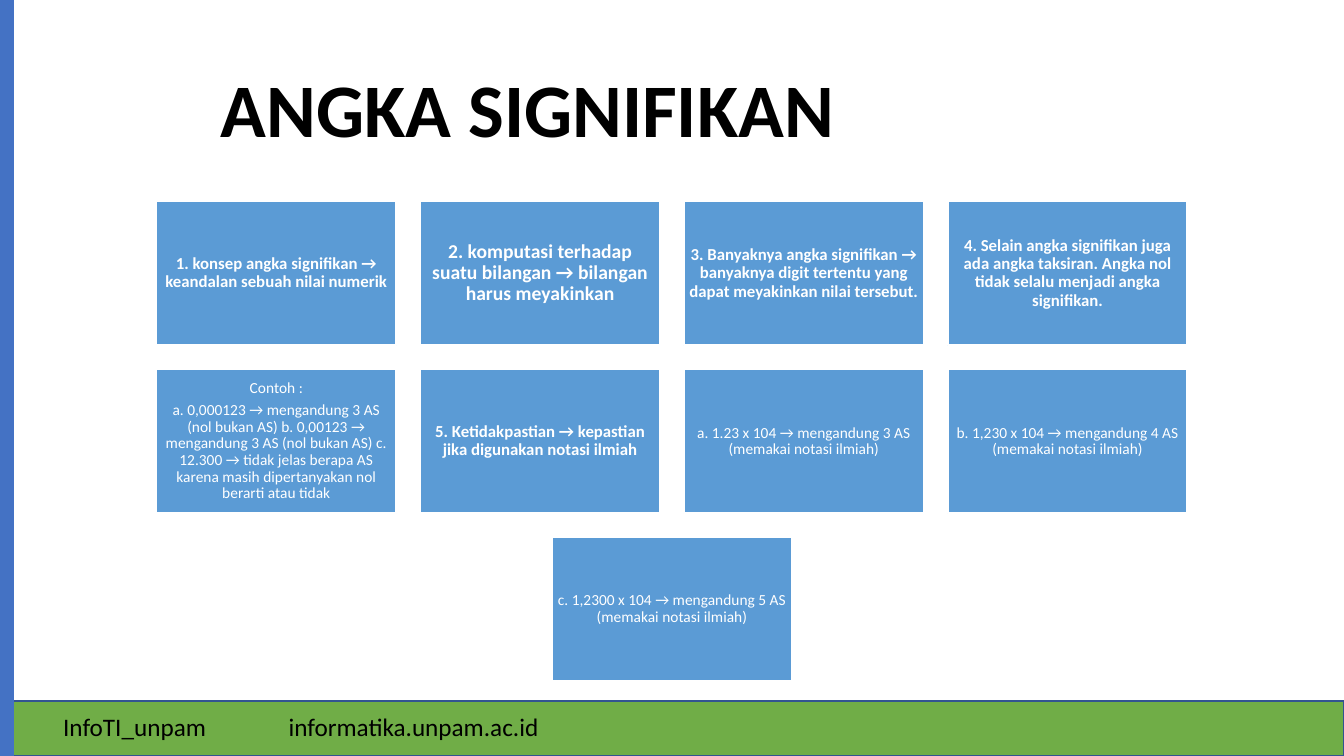
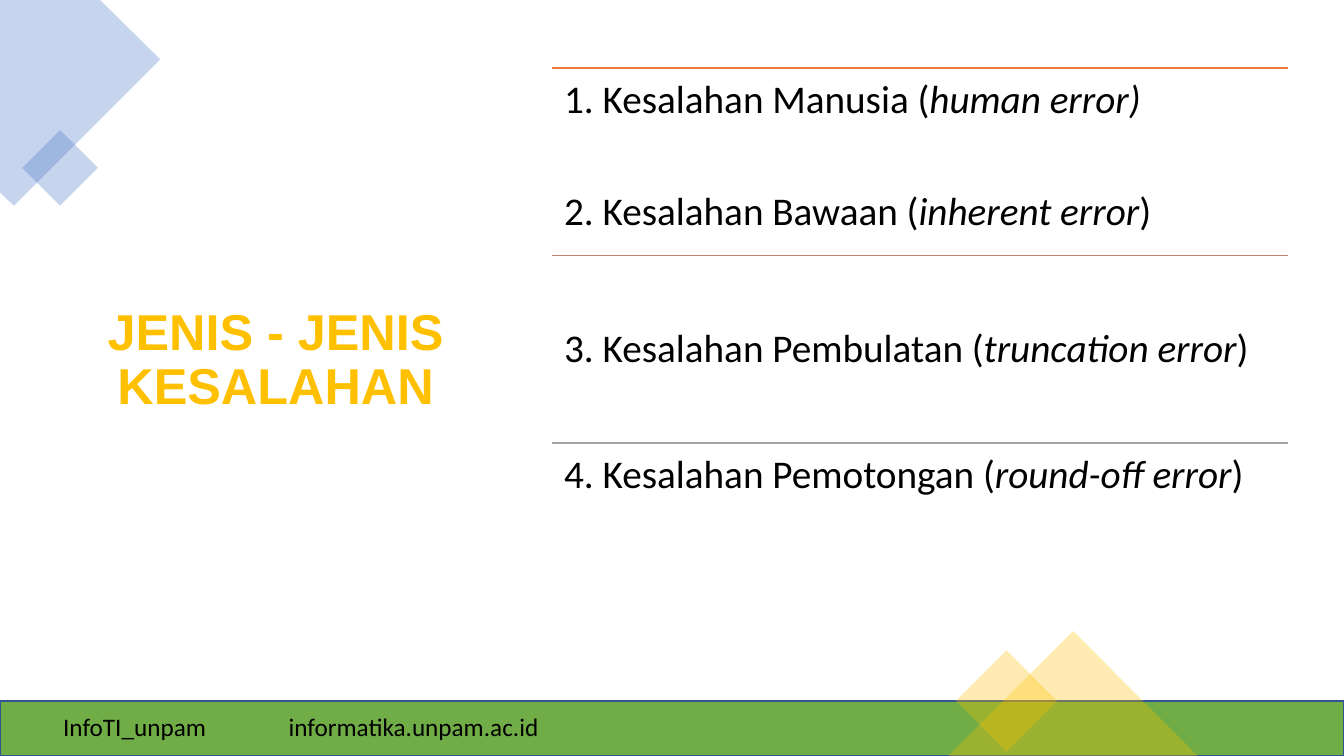
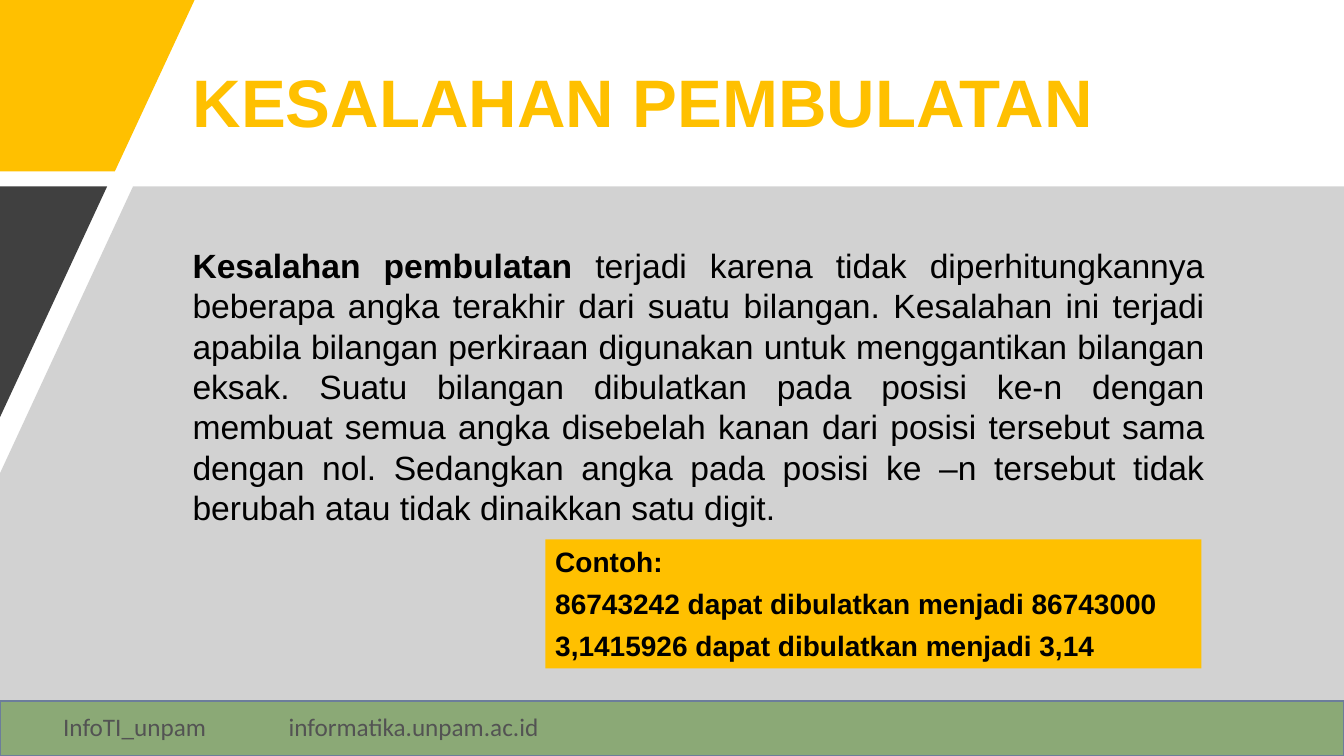
from dataclasses import dataclass
from typing import NamedTuple, Optional

from lxml.etree import SubElement
from pptx import Presentation
from pptx.dml.color import RGBColor
from pptx.enum.shapes import MSO_CONNECTOR, MSO_SHAPE
from pptx.enum.text import MSO_ANCHOR, MSO_AUTO_SIZE, PP_ALIGN
from pptx.oxml.ns import qn
from pptx.util import Pt

# Shared palette, fonts and page size
BLACK, WHITE = "000000", "FFFFFF"
BLUE, CARD_BLUE, GOLD, GREEN = "4472C4", "5B9BD5", "FFC000", "70AD47"
FOOTER_EDGE, CHARCOAL, GREY = "325491", "404040", "A6A6A6"
SANS, ARIAL = "Calibri", "Arial"
PAGE_W, PAGE_H = 960, 540
FOOTER_TOP = 500.7


class Box(NamedTuple):
    left: float
    top: float
    width: float
    height: float

    def lengths(self) -> list:
        return [Pt(value) for value in self]


class Span(NamedTuple):
    text: str
    bold: bool = False
    italic: bool = False


@dataclass(frozen=True)
class Para:
    spans: tuple[Span, ...]
    before: float = 0


@dataclass(frozen=True)
class TextStyle:
    size: float
    font: str = SANS
    color: str = BLACK
    align: PP_ALIGN = PP_ALIGN.LEFT
    anchor: MSO_ANCHOR = MSO_ANCHOR.TOP
    line_spacing: float = 1.0
    after: float = 0
    inset_x: float = 7.2
    inset_y: float = 3.6


@dataclass(frozen=True)
class Card:
    lines: tuple[str, ...]
    size: float = 12
    bold: bool = True


# Drawing helpers
def rgb(color: str) -> RGBColor:
    return RGBColor.from_string(color)


def paint(shape, fill: str, alpha: Optional[int] = None,
          edge: Optional[str] = None, edge_width: float = 1) -> None:
    shape.shadow.inherit = False
    shape.fill.solid()
    shape.fill.fore_color.rgb = rgb(fill)
    if alpha is not None:
        color = shape.element.spPr.find(".//" + qn("a:srgbClr"))
        SubElement(color, qn("a:alpha")).set("val", str(alpha * 1000))
    if edge:
        shape.line.color.rgb = rgb(edge)
        shape.line.width = Pt(edge_width)
    else:
        shape.line.fill.background()


def add_block(slide, kind: MSO_SHAPE, box: Box, fill: str, **look):
    shape = slide.shapes.add_shape(kind, *box.lengths())
    paint(shape, fill, **look)
    return shape


def add_outline(slide, corners: list[tuple[float, float]], fill: str,
                alpha: Optional[int] = None) -> None:
    points = [(Pt(x), Pt(y)) for x, y in corners]
    builder = slide.shapes.build_freeform(*points[0], scale=1.0)
    builder.add_line_segments(points[1:], close=True)
    paint(builder.convert_to_shape(), fill, alpha)


def add_rule(slide, left: float, top: float, width: float, color: str) -> None:
    rule = slide.shapes.add_connector(
        MSO_CONNECTOR.STRAIGHT, Pt(left), Pt(top), Pt(left + width), Pt(top))
    rule.line.color.rgb = rgb(color)
    rule.line.width = Pt(1)
    SubElement(rule.element.spPr, qn("a:effectLst"))


def write(shape, paras: list[Para], style: TextStyle) -> None:
    frame = shape.text_frame
    frame.word_wrap = True
    frame.auto_size = MSO_AUTO_SIZE.NONE
    frame.vertical_anchor = style.anchor
    frame.margin_left = frame.margin_right = Pt(style.inset_x)
    frame.margin_top = frame.margin_bottom = Pt(style.inset_y)
    for index, para in enumerate(paras):
        line = frame.add_paragraph() if index else frame.paragraphs[0]
        props = line._p.get_or_add_pPr()
        props.set("marL", "0")
        props.set("indent", "0")
        SubElement(props, qn("a:buNone"))
        line.alignment = style.align
        line.line_spacing = style.line_spacing
        line.space_before = Pt(para.before)
        line.space_after = Pt(style.after)
        for span in para.spans:
            run = line.add_run()
            run.text = span.text
            run.font.name = style.font
            run.font.size = Pt(style.size)
            run.font.color.rgb = rgb(style.color)
            run.font.bold = span.bold
            run.font.italic = span.italic


def fill_placeholder(slide, index: int, box: Box, paras: list[Para],
                     style: TextStyle) -> None:
    holder = slide.placeholders[index]
    holder.left, holder.top, holder.width, holder.height = box.lengths()
    slide.shapes.element.append(holder.element)  # bring to front
    write(holder, paras, style)


def set_title(slide, text: str, box: Box, size: float, font: str = ARIAL,
              color: str = GOLD, align: PP_ALIGN = PP_ALIGN.LEFT) -> None:
    style = TextStyle(size, font, color, align, MSO_ANCHOR.MIDDLE, 0.9, 6)
    fill_placeholder(slide, 0, box, [Para((Span(text, bold=True),))], style)


def new_slide(deck, layout: int):
    """Add a slide carrying the common footer band."""
    slide = deck.slides.add_slide(deck.slide_layouts[layout])
    add_block(slide, MSO_SHAPE.FLOWCHART_PROCESS,
              Box(0, FOOTER_TOP, PAGE_W, PAGE_H - FOOTER_TOP), GREEN, edge=FOOTER_EDGE)
    for text, left, width in (("InfoTI_unpam", 38, 141),
                              ("informatika.unpam.ac.id", 199, 212)):
        label = slide.shapes.add_textbox(*Box(left, 504.5, width, 29).lengths())
        write(label, [Para((Span(text),))], TextStyle(18))
    return slide


# Slide 1: significant figures as a centred grid of cards
CARD_ROWS = (
    (
        Card(("1. konsep angka signifikan → keandalan sebuah nilai numerik",)),
        Card(("2. komputasi terhadap suatu bilangan → bilangan harus meyakinkan",), 14),
        Card(("3. Banyaknya angka signifikan → banyaknya digit tertentu yang "
              "dapat meyakinkan nilai tersebut.",)),
        Card(("4. Selain angka signifikan juga ada angka taksiran. Angka nol "
              "tidak selalu menjadi angka signifikan.",)),
    ),
    (
        Card(("Contoh :",
              "a. 0,000123 → mengandung 3 AS (nol bukan AS) b. 0,00123 → "
              "mengandung 3 AS (nol bukan AS) c. 12.300 → tidak jelas berapa AS "
              "karena masih dipertanyakan nol berarti atau tidak"), 11, False),
        Card(("5. Ketidakpastian → kepastian jika digunakan notasi ilmiah",)),
        Card(("a. 1.23 x 104 → mengandung 3 AS (memakai notasi ilmiah)",), 11, False),
        Card(("b. 1,230 x 104 → mengandung 4 AS (memakai notasi ilmiah)",), 11, False),
    ),
    (
        Card(("c. 1,2300 x 104 → mengandung 5 AS (memakai notasi ilmiah)",), 11, False),
    ),
)


def build_significant_figures(deck) -> None:
    slide = new_slide(deck, 5)
    set_title(slide, "ANGKA SIGNIFIKAN", Box(150.5, 28.8, 743, 104.4), 54, SANS, BLACK)
    add_block(slide, MSO_SHAPE.RECTANGLE, Box(0, 0, 10, PAGE_H), BLUE)

    width, height, gap, grid_top = 171.3, 102.8, 17.1, 143.9
    for row, cards in enumerate(CARD_ROWS):
        row_width = len(cards) * (width + gap) - gap
        row_left = (PAGE_W - row_width) / 2
        for column, card in enumerate(cards):
            box = Box(row_left + column * (width + gap),
                      grid_top + row * (height + gap), width, height)
            shape = add_block(slide, MSO_SHAPE.RECTANGLE, box, CARD_BLUE,
                              edge=WHITE, edge_width=1.5)
            inset = card.size * 0.3
            write(shape, [Para((Span(line, card.bold),)) for line in card.lines],
                  TextStyle(card.size, SANS, WHITE, PP_ALIGN.CENTER, MSO_ANCHOR.MIDDLE,
                            0.9, card.size * 0.35, inset, inset))


# Slide 2: kinds of error
def build_error_kinds(deck) -> None:
    slide = new_slide(deck, 1)

    # Corner ornaments
    add_outline(slide, [(0, 0), (71.5, 0), (114.5, 42.5), (10, 147), (0, 137.5)], BLUE, 30)
    for box, color in ((Box(23.8, 100.8, 38.2, 38.2), BLUE),
                       (Box(693.4, 475.2, 51.1, 51.1), GOLD)):
        add_block(slide, MSO_SHAPE.RECTANGLE, box, color, alpha=30).rotation = 45
    add_block(slide, MSO_SHAPE.ISOSCELES_TRIANGLE, Box(677.5, 450.7, 178, 89.3),
              GOLD, alpha=30)

    set_title(slide, "JENIS - JENIS KESALAHAN", Box(18.7, 130.6, 356.4, 254.9), 36,
              align=PP_ALIGN.CENTER)

    # List between equally spaced rules
    left, top, width, step = 394.6, 48.7, 525.6, 133.8
    for index, color in enumerate(("ED7D31", "C48170", "A5A5A5")):
        add_rule(slide, left, top + index * step, width, color)
    errors = (
        ("1. Kesalahan Manusia (", "human error)", "", 0),
        ("2. Kesalahan Bawaan (", "inherent error", ")", 39.4),
        ("3. Kesalahan Pembulatan (", "truncation error", ")", 58),
        ("4. Kesalahan Pemotongan (", "round-off error", ")", 50),
    )
    paras = []
    for name, english, closing, before in errors:
        spans = (Span(name), Span(english, italic=True), Span(closing))
        paras.append(Para(tuple(span for span in spans if span.text), before))
    fill_placeholder(slide, 1, Box(left, top, width, 3 * step), paras,
                     TextStyle(28, line_spacing=0.9, after=9.8, inset_x=8.4, inset_y=8.4))


# Slide 3: rounding error
def build_rounding_error(deck) -> None:
    slide = new_slide(deck, 1)

    # Slanted panels
    panel_top = 133.2
    add_outline(slide, [(0, 0), (139, 0), (82, 122.5), (0, 122.5)], GOLD)
    add_outline(slide, [(95, panel_top), (PAGE_W, panel_top), (PAGE_W, PAGE_H),
                        (0, PAGE_H), (0, 338)], GREY, 50)
    add_outline(slide, [(0, panel_top), (76.5, panel_top), (0, 298)], CHARCOAL)

    left, width = 130.3, 737.3
    set_title(slide, "KESALAHAN PEMBULATAN", Box(left, 28.8, width, 93.6), 48)
    explanation = Para((
        Span("Kesalahan pembulatan ", bold=True),
        Span("terjadi karena tidak diperhitungkannya beberapa angka terakhir dari "
             "suatu bilangan. Kesalahan ini terjadi apabila bilangan perkiraan "
             "digunakan untuk menggantikan bilangan eksak. Suatu bilangan dibulatkan "
             "pada posisi ke-n dengan membuat semua angka disebelah kanan dari posisi "
             "tersebut sama dengan nol. Sedangkan angka pada posisi ke –n tersebut "
             "tidak berubah atau tidak dinaikkan satu digit."),
    ))
    fill_placeholder(slide, 1, Box(left, 171.4, width, 318.2), [explanation],
                     TextStyle(24, ARIAL, align=PP_ALIGN.JUSTIFY, after=6))

    # Worked example
    example = add_block(slide, MSO_SHAPE.RECTANGLE, Box(389.5, 385.2, 468.7, 92.2), GOLD)
    lines = ("Contoh:", "86743242 dapat dibulatkan menjadi 86743000",
             "3,1415926 dapat dibulatkan menjadi 3,14")
    write(example, [Para((Span(line, bold=True),)) for line in lines],
          TextStyle(20, ARIAL, after=6))


def main() -> None:
    deck = Presentation()
    deck.slide_width, deck.slide_height = Pt(PAGE_W), Pt(PAGE_H)
    build_significant_figures(deck)
    build_error_kinds(deck)
    build_rounding_error(deck)
    deck.save("out.pptx")


if __name__ == "__main__":
    main()
